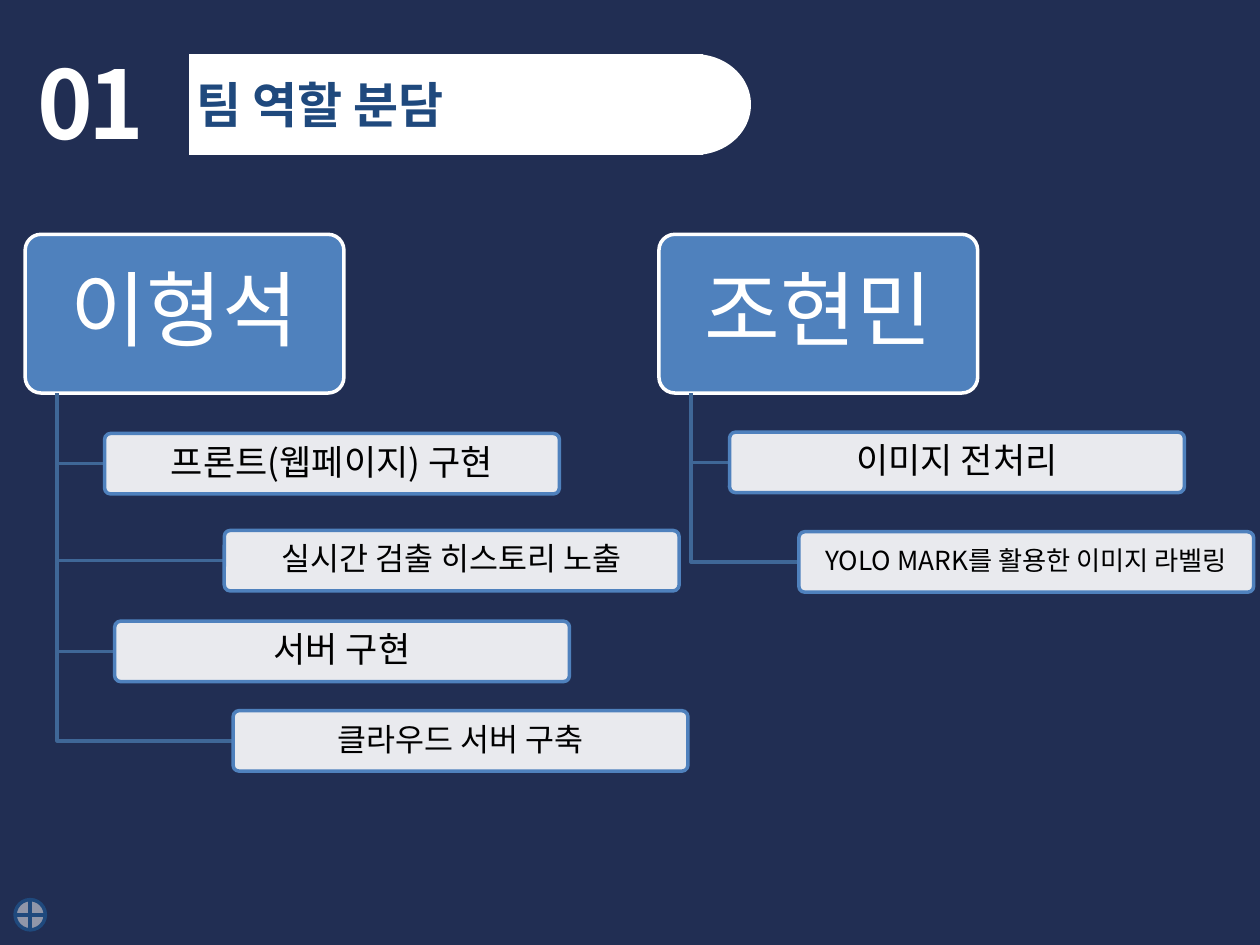
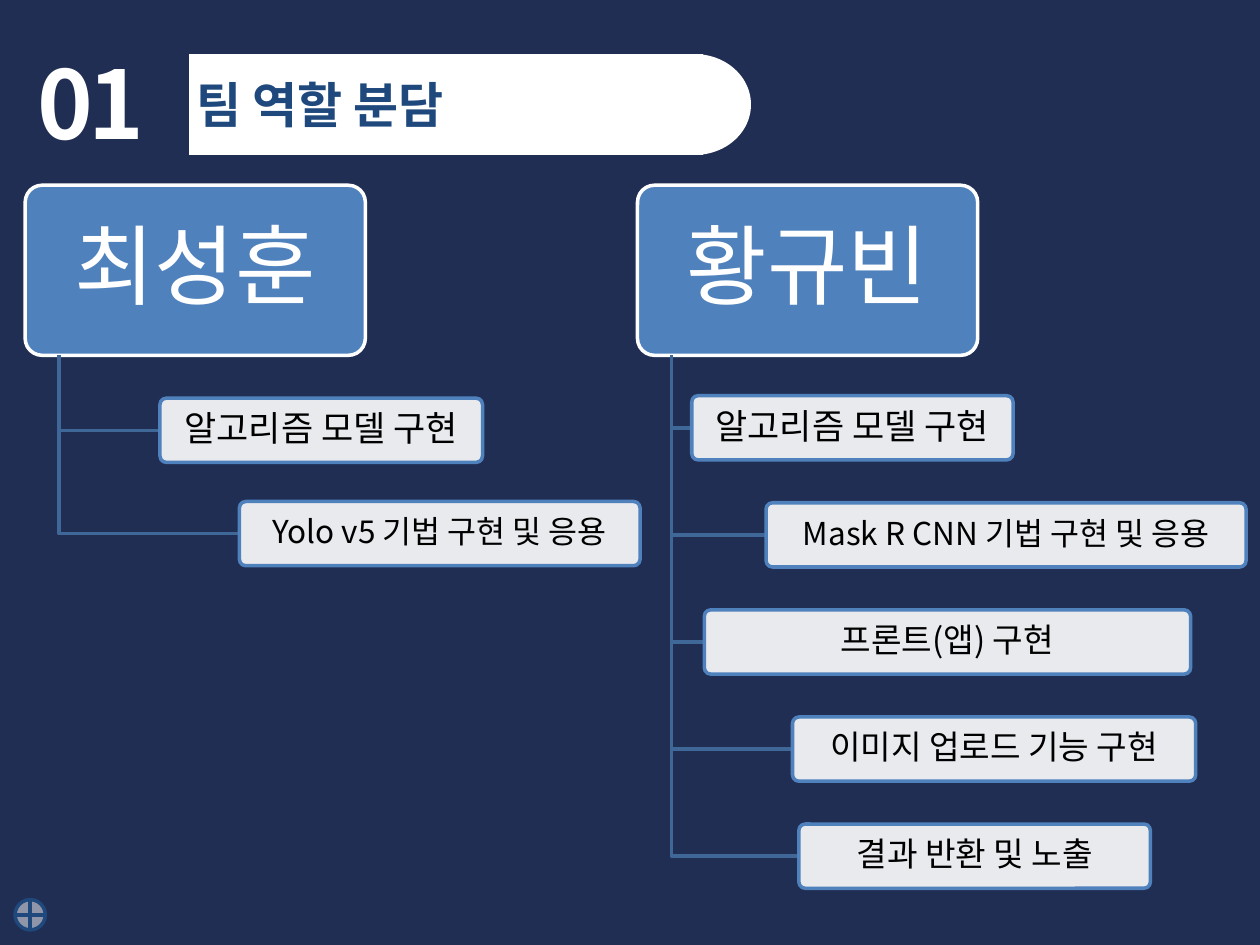
from dataclasses import dataclass

from lxml.etree import SubElement
from pptx import Presentation
from pptx.dml.color import RGBColor
from pptx.enum.shapes import MSO_SHAPE
from pptx.enum.text import MSO_ANCHOR, MSO_AUTO_SIZE, PP_ALIGN
from pptx.oxml.ns import qn
from pptx.util import Emu, Inches, Pt

WIDTH, HEIGHT = Inches(10), Inches(7.5)
COL, ROW = WIDTH / 100, HEIGHT / 75
FONT = "Noto Sans CJK KR"
COLORS = {
    "navy": "212E53",
    "white": "FFFFFF",
    "title": "1F497D",
    "blue": "4F81BD",
    "branch": "3F6797",
    "black": "000000",
}


@dataclass(frozen=True)
class Box:
    """Place and size in grid columns and rows."""
    col: float
    row: float
    cols: float
    rows: float

    def emu(self) -> tuple[Emu, Emu, Emu, Emu]:
        """Return left, top, width and height as lengths."""
        return (Emu(round(self.col * COL)), Emu(round(self.row * ROW)),
                Emu(round(self.cols * COL)), Emu(round(self.rows * ROW)))


@dataclass(frozen=True)
class Duty:
    """One task of a member, with its column, width and text size."""
    text: str
    col: float
    cols: float
    size: int


@dataclass(frozen=True)
class Member:
    """A member with duties and the row of each duty."""
    name: str
    col: float
    rows: tuple[float, ...]
    duties: tuple[Duty, ...]


@dataclass(frozen=True)
class Page:
    """Box sizes shared by the members of one slide."""
    row: float
    name_cols: float
    name_rows: float
    name_size: int
    duty_rows: float
    members: tuple[Member, ...]


PAGES = (
    Page(18.6, 25.3, 12.6, 47, 4.8, (
        Member("이형석", 2, (34.4, 42.1, 49.3, 56.4), (
            Duty("프론트(웹페이지) 구현", 8.3, 36.1, 20),
            Duty("실시간 검출 히스토리 노출", 17.8, 36.1, 18),
            Duty("서버 구현", 9.1, 36.1, 20),
            Duty("클라우드 서버 구축", 18.5, 36.1, 18),
        )),
        Member("조현민", 52.3, (34.3, 42.2), (
            Duty("이미지 전처리", 57.9, 36.1, 20),
            Duty("YOLO MARK를 활용한 이미지 라벨링", 63.4, 36.1, 15),
        )),
    )),
    Page(14.7, 27, 13.5, 50, 5.1, (
        Member("최성훈", 2, (31.6, 39.8), (
            Duty("알고리즘 모델 구현", 12.7, 25.6, 20),
            Duty("Yolo v5 기법 구현 및 응용", 19, 31.8, 18),
        )),
        Member("황규빈", 50.6, tuple(31.4 + 8.5 * i for i in range(5)), (
            Duty("알고리즘 모델 구현", 54.9, 25.5, 20),
            Duty("Mask R CNN 기법 구현 및 응용", 60.8, 38.1, 18),
            Duty("프론트(앱) 구현", 55.9, 38.6, 19),
            Duty("이미지 업로드 기능 구현", 62.9, 32, 19),
            Duty("결과 반환 및 노출", 63.4, 27.9, 19),
        )),
    )),
)


def rgb(name: str) -> RGBColor:
    """Look up a colour."""
    return RGBColor.from_string(COLORS[name])


def add_run(p, text: str, size: int, color: str, bold: bool = False):
    """Add a run in the deck font, for Latin and Korean text."""
    r = p.add_run()
    r.text = text
    r.font.size, r.font.bold, r.font.name = Pt(size), bold, FONT
    r.font.color.rgb = rgb(color)
    SubElement(r.font._element, qn("a:ea")).set("typeface", FONT)
    return r


def add_box(s, kind: MSO_SHAPE, box: Box, fill: str, line: str = "", opacity: int = 100):
    """Add a flat preset shape."""
    sp = s.shapes.add_shape(kind, *box.emu())
    sp.shadow.inherit = False
    sp.fill.solid()
    sp.fill.fore_color.rgb = rgb(fill)
    if opacity < 100:
        color = sp.fill._xPr.find(qn("a:solidFill"))[0]
        SubElement(color, qn("a:alpha")).set("val", str(opacity * 1000))
    if line:
        sp.line.color.rgb = rgb(line)
        sp.line.width = Pt(2)
    else:
        sp.line.fill.background()
    return sp


def add_label(sp, text: str, size: int, color: str, inset: float) -> None:
    """Write centred text in a rounded box."""
    sp.adjustments[0] = 0.1
    tf = sp.text_frame
    tf.word_wrap = True
    tf.vertical_anchor = MSO_ANCHOR.MIDDLE
    tf.margin_left = tf.margin_right = Inches(inset)
    tf.margin_top = tf.margin_bottom = Inches(inset * 0.7)
    p = tf.paragraphs[0]
    p.alignment = PP_ALIGN.CENTER
    p.line_spacing = 0.9
    add_run(p, text, size, color)


def add_branch(s, trunk: float, top: float, col: float, row: float) -> None:
    """Draw an elbow from a name box to a duty box."""
    points = [(round(x * COL), round(y * ROW)) for x, y in ((trunk, top), (trunk, row), (col, row))]
    builder = s.shapes.build_freeform(*points[0])
    builder.add_line_segments(points[1:], close=False)
    sp = builder.convert_to_shape()
    sp.shadow.inherit = False
    sp.fill.background()
    sp.line.color.rgb = rgb("branch")
    sp.line.width = Pt(2)


def add_frame(s) -> None:
    """Add the background, number, title band and corner mark."""
    s.background.fill.solid()
    s.background.fill.fore_color.rgb = rgb("navy")
    number = s.shapes.add_textbox(*Box(2, 3.1, 15.2, 10.1).emu())
    number.text_frame.word_wrap = True
    r = add_run(number.text_frame.paragraphs[0], "01", 54, "white", True)
    r.font._element.set("spc", "-300")
    add_box(s, MSO_SHAPE.FLOWCHART_OR, Box(1.2, 71.4, 2.4, 2.4), "white", "title", 50)
    add_box(s, MSO_SHAPE.RECTANGLE, Box(15, 4.3, 40.8, 8), "white")
    add_box(s, MSO_SHAPE.OVAL, Box(50.7, 4.3, 8.9, 8), "white")
    title = s.shapes.title
    title.left, title.top, title.width, title.height = Box(14.6, 5.4, 56.4, 5.7).emu()
    tf = title.text_frame
    tf.auto_size = MSO_AUTO_SIZE.NONE
    tf.vertical_anchor = MSO_ANCHOR.TOP
    p = tf.paragraphs[0]
    p.alignment = PP_ALIGN.LEFT
    add_run(p, "팀 역할 분담", 28, "title", True)
    s.shapes._spTree.append(title._element)


def add_member(s, page: Page, member: Member) -> None:
    """Draw a member's name box and the duties hanging from it."""
    box = Box(member.col, page.row, page.name_cols, page.name_rows)
    sp = add_box(s, MSO_SHAPE.ROUNDED_RECTANGLE, box, "blue", "white")
    add_label(sp, member.name, page.name_size, "white", 0.1)
    trunk, bottom = box.col + box.cols / 10, box.row + box.rows
    for row, duty in zip(member.rows, member.duties):
        add_branch(s, trunk, bottom, duty.col, row + page.duty_rows / 2)
        sp = add_box(s, MSO_SHAPE.ROUNDED_RECTANGLE,
                     Box(duty.col, row, duty.cols, page.duty_rows), "white", "blue", 90)
        add_label(sp, duty.text, duty.size, "black", 0.04)


def main() -> None:
    """Build and save the deck."""
    prs = Presentation()
    prs.slide_width, prs.slide_height = WIDTH, HEIGHT
    for page in PAGES:
        s = prs.slides.add_slide(prs.slide_layouts[5])
        add_frame(s)
        for member in page.members:
            add_member(s, page, member)
    prs.save("out.pptx")


if __name__ == "__main__":
    main()
